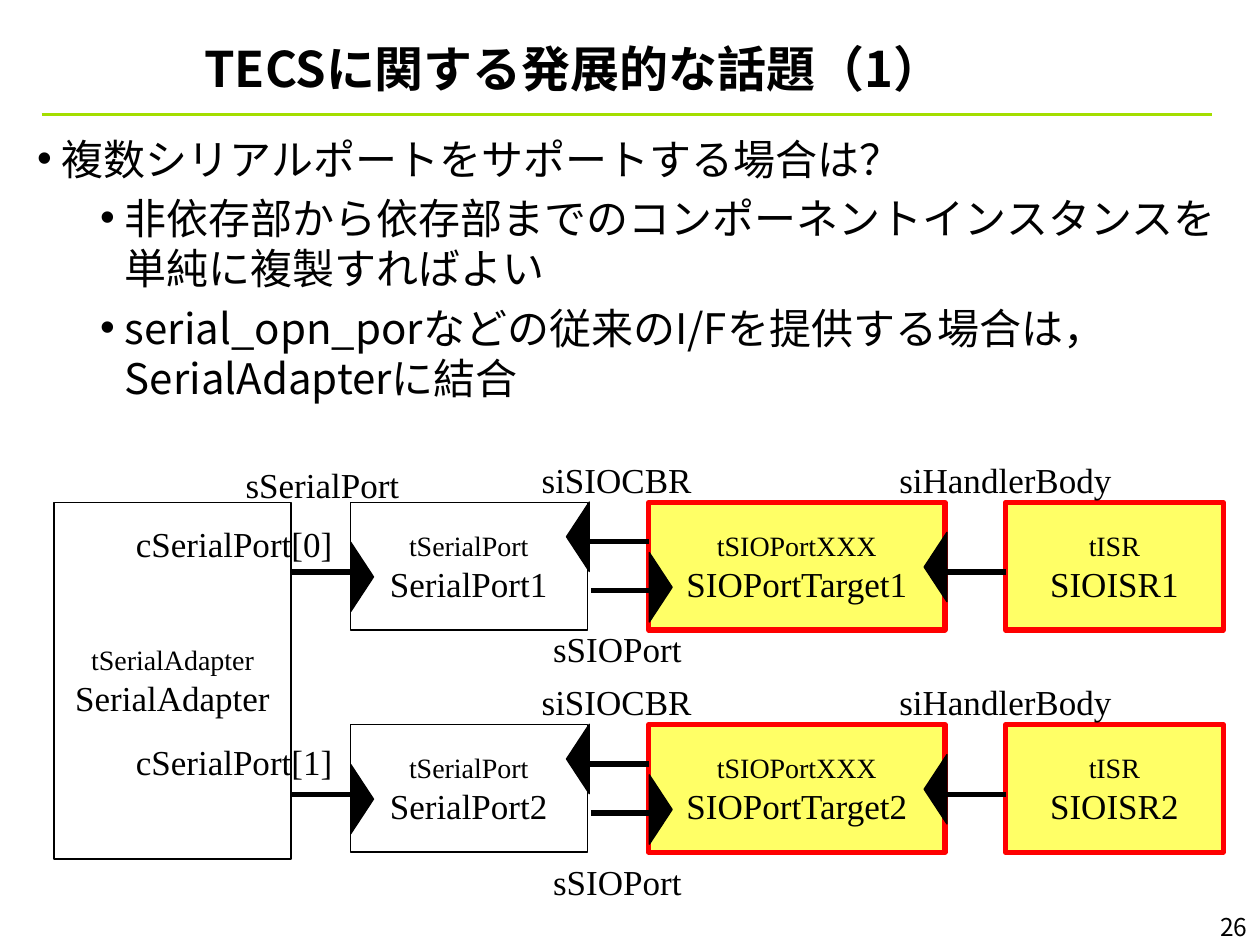
import pptx
import pptx.util
import pptx.dml.color
import pptx.enum.shapes
import pptx.enum.text
import pptx.oxml.ns
import lxml.etree

Cm = pptx.util.Cm
Pt = pptx.util.Pt
RGB = pptx.dml.color.RGBColor
ALIGN = pptx.enum.text.PP_ALIGN
ANCHOR = pptx.enum.text.MSO_ANCHOR
SHAPE = pptx.enum.shapes.MSO_SHAPE

BLACK = RGB(0x00, 0x00, 0x00)
RED = RGB(0xFF, 0x00, 0x00)
YELLOW = RGB(0xFF, 0xFF, 0x66)
GREEN = RGB(0xA4, 0xDE, 0x00)
SANS = "Noto Sans CJK JP"
SERIF = "Times New Roman"

TOP = 10.13      # top of the first row of components
PITCH = 4.48     # distance between the two rows
HIGH = 2.57      # component height
PLAIN = (None, BLACK, 0.75)
TARGET = (YELLOW, RED, 3)


def put(obj, vals):
    """Set each attribute named in a dict."""
    for key, val in vals.items():
        setattr(obj, key, val)


def add_sub(node, tag, **attrs):
    """Append a DrawingML element to a node."""
    return lxml.etree.SubElement(node, pptx.oxml.ns.qn(tag), attrs)


def write(para, text, size, face=SERIF, bold=False, align=ALIGN.LEFT):
    """Fill a paragraph with one formatted run."""
    para.alignment = align
    run = para.add_run()
    run.text = text
    put(run.font, {"size": Pt(size), "name": face, "bold": bold})
    run.font.color.rgb = BLACK
    add_sub(run.font._element, "a:ea", typeface=face)


def label(slide, text, x, y, w, h=1.12, **style):
    """Add a one-line text box."""
    frame = slide.shapes.add_textbox(Cm(x), Cm(y), Cm(w), Cm(h)).text_frame
    frame.word_wrap = True
    write(frame.paragraphs[0], text, **{"size": 20, **style})


def block(slide, kind, x, y, w, h, look):
    """Add a preset shape with its fill and outline."""
    shape = slide.shapes.add_shape(kind, Cm(x), Cm(y), Cm(w), Cm(h))
    fill, edge, width = look
    shape.shadow.inherit = False
    if fill is None:
        shape.fill.background()
    else:
        shape.fill.solid()
        shape.fill.fore_color.rgb = fill
    shape.line.color.rgb = edge
    shape.line.width = Pt(width)
    return shape


def part(slide, kind, name, x, y, w, h=HIGH, look=PLAIN):
    """Add a component box with its cell type and name."""
    frame = block(slide, SHAPE.RECTANGLE, x, y, w, h, look).text_frame
    put(frame, {"word_wrap": False, "vertical_anchor": ANCHOR.MIDDLE})
    write(frame.paragraphs[0], kind, 16, align=ALIGN.CENTER)
    write(frame.add_paragraph(), name, 20, align=ALIGN.CENTER)


def port(slide, x, y, turn):
    """Add a triangular port centred on a point."""
    w, h = 1.4, 0.46
    tip = block(slide, SHAPE.ISOSCELES_TRIANGLE, x - w / 2, y - h / 2, w, h,
                (BLACK, BLACK, 0.75))
    tip.rotation = turn


def rule(slide, x, y, w, color=BLACK, width=3):
    """Add a horizontal line."""
    line = slide.shapes.add_connector(
        pptx.enum.shapes.MSO_CONNECTOR.STRAIGHT, Cm(x), Cm(y), Cm(x + w), Cm(y))
    line.line.color.rgb = color
    line.line.width = Pt(width)
    add_sub(line._element.spPr, "a:effectLst")


def head(slide, text):
    """Place and format the title with its rule."""
    rule(slide, 0.84, 2.31, 23.6, GREEN, 1.5)
    title = slide.shapes.title
    put(title, {"left": Cm(0.58), "top": Cm(0.53),
                "width": Cm(21.95), "height": Cm(1.4)})
    frame = title.text_frame
    put(frame, {"margin_top": Cm(0.41), "margin_bottom": Cm(0.13),
                "vertical_anchor": ANCHOR.MIDDLE, "word_wrap": True,
                "auto_size": pptx.enum.text.MSO_AUTO_SIZE.NONE})
    write(frame.paragraphs[0], text, 28, SANS, True, ALIGN.CENTER)


def points(slide, items):
    """Add the bulleted text from (level, text) pairs."""
    box = slide.shapes.add_textbox(Cm(0.5), Cm(2.55), Cm(24.46), Cm(15.2))
    frame = box.text_frame
    frame.word_wrap = True
    for i, (level, text) in enumerate(items):
        para = frame.add_paragraph() if i else frame.paragraphs[0]
        put(para, {"level": level, "line_spacing": Pt(29),
                   "space_before": Pt(4.8 if i else 0)})
        write(para, text, 24, SANS)
        props = para._p.get_or_add_pPr()
        props.set("marL", str(Cm(0.5 + 1.27 * level)))
        props.set("indent", str(-Cm(0.5)))
        add_sub(props, "a:buFont", typeface="Arial")
        add_sub(props, "a:buChar", char="•")


def row(slide, i):
    """Add one chain of serial port, target port and handler."""
    y = TOP + i * PITCH
    n = i + 1
    part(slide, "tSerialPort", f"SerialPort{n}", 7.06, y, 4.78)
    part(slide, "tSIOPortXXX", f"SIOPortTarget{n}", 13.08, y, 5.97, look=TARGET)
    part(slide, "tISR", f"SIOISR{n}", 20.27, y, 4.39, look=TARGET)
    for x, drop, turn in ((7.3, 1.5, 90), (11.65, 0.69, 270),
                          (13.32, 1.71, 90), (18.86, 1.3, 270)):
        port(slide, x, y + drop, turn)
    for x, drop in ((5.87, 1.4), (11.88, 0.79), (11.91, 1.78), (19.08, 1.4)):
        rule(slide, x, y + drop, 1.2)
    label(slide, "siSIOCBR", 10.67, y - 1.01, 3.81)
    label(slide, "siHandlerBody", 17.88, y - 1.01, 5.21)
    label(slide, f"cSerialPort[{i}]", 2.49, 10.41 + 4.4 * i, 4.6)
    label(slide, "sSIOPort", 10.9, 12.52 + 4.7 * i, 3.81)


def main():
    """Build and save the slide."""
    deck = pptx.Presentation()
    put(deck, {"slide_width": Cm(25.4), "slide_height": Cm(19.05)})
    slide = deck.slides.add_slide(deck.slide_layouts[5])
    head(slide, "TECSに関する発展的な話題（1）")
    points(slide, (
        (0, "複数シリアルポートをサポートする場合は？"),
        (1, "非依存部から依存部までのコンポーネントインスタンスを単純に複製すればよい"),
        (1, "serial_opn_porなどの従来のI/Fを提供する場合は，SerialAdapterに結合"),
    ))
    part(slide, "tSerialAdapter", "SerialAdapter", 1.09, TOP, 4.78, 7.19)
    for i in range(2):
        row(slide, i)
    label(slide, "sSerialPort", 4.7, 9.22, 3.7)
    label(slide, "26", 23.29, 18.26, 2.11, 0.84,
          size=14, face=SANS, align=ALIGN.RIGHT)
    deck.save("out.pptx")


main()
